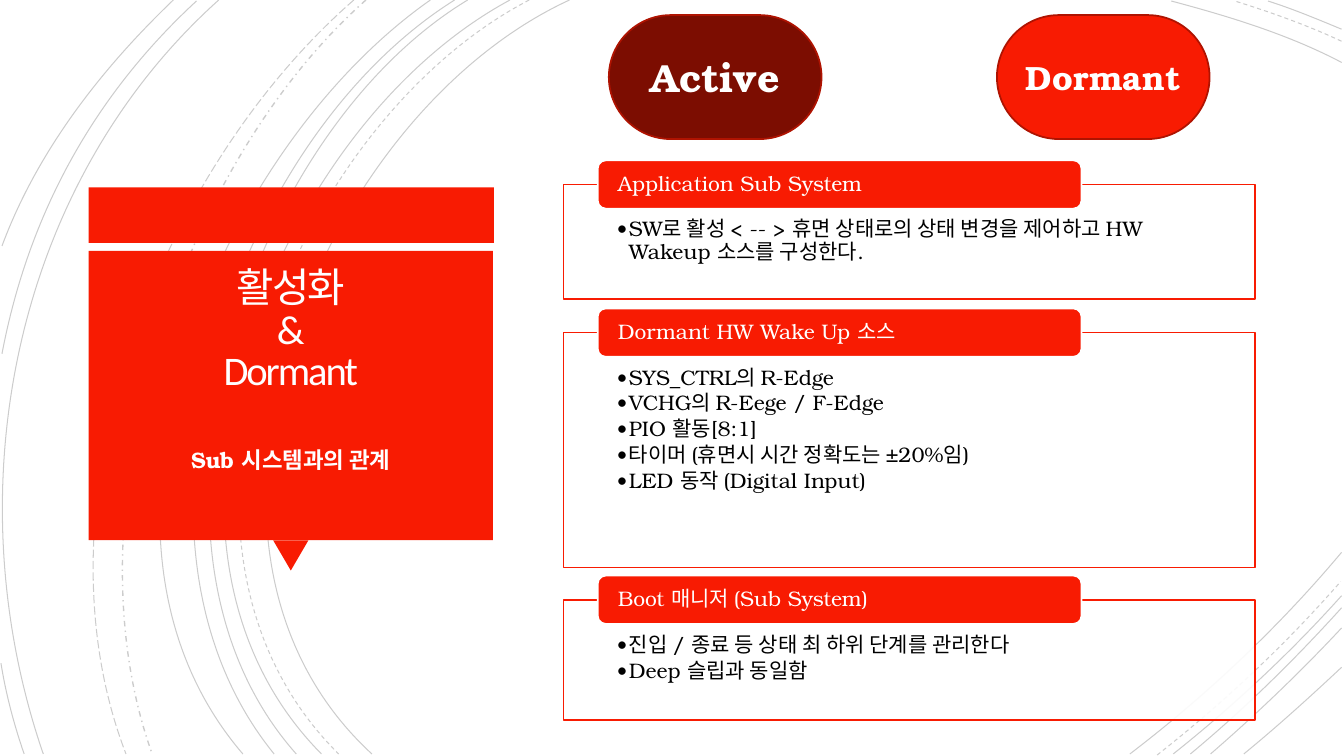
from dataclasses import dataclass

from lxml import etree
from pptx import Presentation
from pptx.dml.color import RGBColor
from pptx.enum.dml import MSO_LINE
from pptx.enum.shapes import MSO_SHAPE
from pptx.enum.text import MSO_ANCHOR, PP_ALIGN
from pptx.oxml.ns import qn
from pptx.util import Emu, Pt

PX = 9144  # 100 px to the inch
SLIDE_SIZE = (12192000, 6858000)  # 16:9 in EMU
RECT, ROUND, TRIANGLE = MSO_SHAPE.RECTANGLE, MSO_SHAPE.ROUNDED_RECTANGLE, MSO_SHAPE.ISOSCELES_TRIANGLE
SOLID, DASH, DASH_DOT, LONG_DASH = MSO_LINE.SOLID, MSO_LINE.DASH, MSO_LINE.DASH_DOT, MSO_LINE.LONG_DASH
LEFT, CENTER = PP_ALIGN.LEFT, PP_ALIGN.CENTER
TOP, MIDDLE, BOTTOM = MSO_ANCHOR.TOP, MSO_ANCHOR.MIDDLE, MSO_ANCHOR.BOTTOM

RED, DARK_RED, EDGE_RED = "F81B02", "7C0D01", "AF1301"
WHITE, OFF_WHITE, BLACK = "FFFFFF", "FFFEFF", "000000"
SERIF, SANS = "TeX Gyre Bonum", "Calibri"

Box = tuple[int, int, int, int]


@dataclass
class Arc:
    points: tuple[int, ...]  # start, two control points, end
    dash: MSO_LINE = SOLID
    width: float = 0.75


@dataclass
class Panel:
    top: int
    height: int
    heading: str
    items: tuple[str, ...]


@dataclass
class State:
    left: int
    label: str
    fill: str
    size: int


@dataclass
class Style:
    size: int
    color: str
    font: str = SERIF
    bold: bool = False
    align: PP_ALIGN = LEFT
    anchor: MSO_ANCHOR = MIDDLE
    spacing: float = 1.0
    after: float = 0
    insets: Box = (0, 0, 0, 0)
    tracking: int = 0
    bullet: bool = False


ARCS = [
    Arc((565, 0, 315, 115, 143, 540, 369, 748)),
    Arc((1331, 62, 1278, 34, 1218, 16, 1162, 1)),
    Arc((1121, 748, 1197, 690, 1269, 622, 1331, 548)),
    Arc((525, 0, 285, 125, 123, 537, 336, 748), DASH),
    Arc((1331, 41, 1297, 25, 1260, 12, 1225, 1), DASH),
    Arc((1148, 749, 1213, 698, 1275, 640, 1330, 577), DASH),
    Arc((506, 0, 270, 127, 110, 537, 319, 748)),
    Arc((1331, 29, 1307, 19, 1283, 9, 1258, 1)),
    Arc((1164, 748, 1223, 701, 1280, 648, 1331, 591)),
    Arc((464, 0, 244, 133, 110, 541, 294, 748)),
    Arc((1181, 748, 1234, 704, 1284, 655, 1331, 603)),
    Arc((451, 0, 231, 138, 97, 533, 272, 748)),
    Arc((1201, 748, 1246, 709, 1290, 667, 1331, 623)),
    Arc((427, 0, 217, 147, 53, 529, 241, 748)),
    Arc((1234, 748, 1267, 721, 1299, 692, 1331, 662)),
    Arc((363, 0, 176, 166, 65, 509, 151, 748), DASH_DOT, 1),
    Arc((351, 0, 157, 169, 29, 499, 125, 748), LONG_DASH),
    Arc((217, 0, 11, 185, -46, 490, 43, 748)),
    Arc((195, 1, 92, 96, 28, 214, 2, 351)),
    Arc((1, 658, 6, 689, 14, 719, 24, 748)),
    Arc((172, 0, 100, 69, 37, 150, 2, 244)),
]
PANELS = [
    Panel(183, 114, "Application Sub System",
          ("SW로 활성 < -- > 휴면 상태로의 상태 변경을 제어하고 HW Wakeup 소스를 구성한다.",)),
    Panel(330, 233, "Dormant HW Wake Up 소스",
          ("SYS_CTRL의 R-Edge", "VCHG의 R-Eege / F-Edge", "PIO 활동[8:1]",
           "타이머 (휴면시 시간 정확도는 ±20%임)", "LED 동작 (Digital Input)")),
    Panel(595, 119, "Boot 매니저 (Sub System)",
          ("진입 / 종료 등 상태 최 하위 단계를 관리한다", "Deep 슬립과 동일함")),
]
STATES = [State(604, "Active", DARK_RED, 28), State(989, "Dormant", RED, 24)]

TITLE = Style(29, OFF_WHITE, SANS, align=CENTER, anchor=BOTTOM, spacing=0.85,
              insets=(25, 25, 25, 0), tracking=-150)
SUBTITLE = Style(16, OFF_WHITE, bold=True, align=CENTER, insets=(10, 0, 10, 6))
ITEMS = Style(15, BLACK, anchor=TOP, spacing=0.9, after=2.25, insets=(53, 34, 53, 12), bullet=True)
HEADING = Style(15, WHITE, spacing=0.9, insets=(18, 0, 18, 0))


def rgb(value: str) -> RGBColor:
    return RGBColor.from_string(value)


def set_alpha(s, percent: int) -> None:
    for color in s._element.spPr.iter(qn("a:srgbClr")):
        etree.SubElement(color, qn("a:alpha")).set("val", str(percent * 1000))


def write(s, lines: tuple[str, ...], style: Style) -> None:
    tf = s.text_frame
    left, top, right, bottom = (Emu(v * PX) for v in style.insets)
    frame = {"word_wrap": True, "vertical_anchor": style.anchor, "margin_left": left,
             "margin_top": top, "margin_right": right, "margin_bottom": bottom}
    for name, value in frame.items():
        setattr(tf, name, value)
    for i, line in enumerate(lines):
        p = tf.add_paragraph() if i else tf.paragraphs[0]
        p.text = line
        paragraph = {"alignment": style.align, "line_spacing": style.spacing,
                     "space_after": Pt(style.after), "level": int(style.bullet)}
        for name, value in paragraph.items():
            setattr(p, name, value)
        if style.bullet:
            pPr = p._p.get_or_add_pPr()
            pPr.set("marL", str(12 * PX))
            pPr.set("indent", str(-12 * PX))
            etree.SubElement(pPr, qn("a:buFont")).set("typeface", SANS)
            etree.SubElement(pPr, qn("a:buChar")).set("char", "•")
        for r in p.runs:
            for name, value in {"name": style.font, "size": Pt(style.size), "bold": style.bold}.items():
                setattr(r.font, name, value)
            r.font.color.rgb = rgb(style.color)
            if style.tracking:
                r._r.get_or_add_rPr().set("spc", str(style.tracking))


def add_box(slide, kind: MSO_SHAPE, box: Box, fill: str, line: str = "", alpha: int = 100):
    s = slide.shapes.add_shape(kind, *(Emu(v * PX) for v in box))
    s.shadow.inherit = False
    s.fill.solid()
    s.fill.fore_color.rgb = rgb(fill)
    if alpha < 100:
        set_alpha(s, alpha)
    if line:
        s.line.color.rgb = rgb(line)
        s.line.width = Pt(1.25)
    else:
        s.line.fill.background()
    return s


def add_text(slide, box: Box, lines: tuple[str, ...], style: Style) -> None:
    write(slide.shapes.add_textbox(*(Emu(v * PX) for v in box)), lines, style)


def add_arc(slide, arc: Arc) -> None:
    start, *rest = zip(arc.points[::2], arc.points[1::2])
    builder = slide.shapes.build_freeform(*start, scale=PX)
    builder.add_line_segments(rest, close=False)
    s = builder.convert_to_shape()
    # Turn the three segments into one Bézier curve
    segments = list(s._element.spPr.iter(qn("a:lnTo")))
    curve = etree.SubElement(segments[0].getparent(), qn("a:cubicBezTo"))
    for segment in segments:
        curve.append(segment[0])
        segment.getparent().remove(segment)
    s.shadow.inherit = False
    s.fill.background()
    s.line.color.rgb = rgb(BLACK)
    s.line.width = Pt(arc.width)
    s.line.dash_style = arc.dash
    set_alpha(s, 20)


def add_panel(slide, panel: Panel) -> None:
    body = (559, panel.top, 686, panel.height)
    add_box(slide, RECT, body, WHITE, RED, 90)
    add_text(slide, body, panel.items, ITEMS)
    add_box(slide, ROUND, (593, panel.top - 24, 480, 48), RED, WHITE)
    add_text(slide, (595, panel.top - 22, 476, 44), (panel.heading,), HEADING)


def add_state(slide, state: State) -> None:
    s = add_box(slide, ROUND, (state.left, 15, 211, 123), state.fill, EDGE_RED)
    s.adjustments[0] = 0.5
    write(s, (state.label,), Style(state.size, WHITE, bold=True, align=CENTER))


def main() -> None:
    prs = Presentation()
    prs.slide_width, prs.slide_height = (Emu(v) for v in SLIDE_SIZE)
    slide = prs.slides.add_slide(prs.slide_layouts[6])

    # Background arcs
    for arc in ARCS:
        add_arc(slide, arc)

    # Title block with its pointer
    add_box(slide, RECT, (88, 186, 402, 55), RED)
    add_box(slide, TRIANGLE, (271, 536, 35, 30), RED).rotation = 180
    add_box(slide, RECT, (88, 249, 401, 287), RED)
    add_text(slide, (97, 257, 383, 134), ("활성화\v&\vDormant",), TITLE)
    add_text(slide, (97, 392, 383, 134), ("Sub 시스템과의 관계",), SUBTITLE)

    # Panels and state badges
    for panel in PANELS:
        add_panel(slide, panel)
    for state in STATES:
        add_state(slide, state)

    prs.save("out.pptx")


if __name__ == "__main__":
    main()
